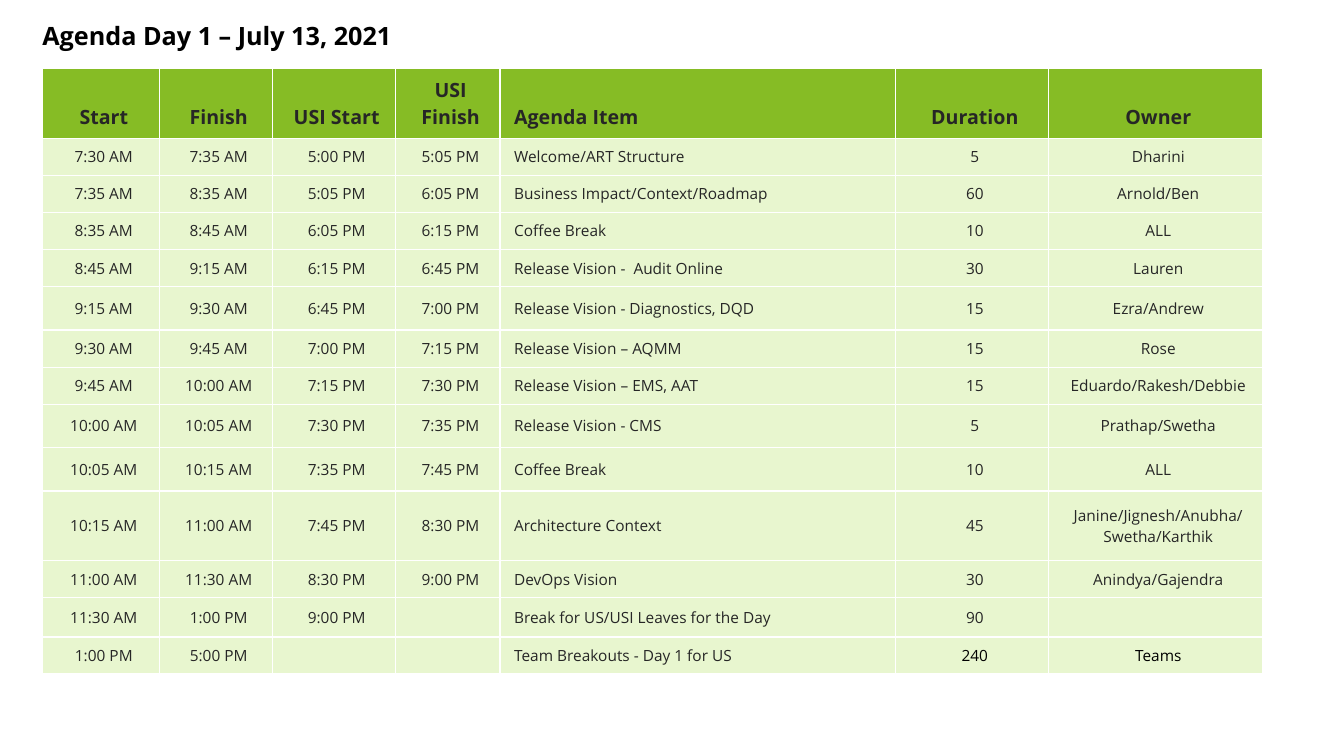
from lxml.etree import SubElement
from pptx import Presentation
from pptx.dml.color import RGBColor
from pptx.enum.text import MSO_ANCHOR, PP_ALIGN
from pptx.oxml.ns import qn
from pptx.util import Inches, Pt

# Content
TITLE = "Agenda Day 1 – July 13, 2021"
HEADINGS = ("Start", "Finish", "USI Start", "USI Finish", "Agenda Item", "Duration", "Owner")
SESSIONS = [
    ("7:30 AM", "7:35 AM", "5:00 PM", "5:05 PM", "Welcome/ART Structure", "5", "Dharini"),
    ("7:35 AM", "8:35 AM", "5:05 PM", "6:05 PM", "Business Impact/Context/Roadmap", "60", "Arnold/Ben"),
    ("8:35 AM", "8:45 AM", "6:05 PM", "6:15 PM", "Coffee Break", "10", "ALL"),
    ("8:45 AM", "9:15 AM", "6:15 PM", "6:45 PM", "Release Vision -  Audit Online", "30", "Lauren"),
    ("9:15 AM", "9:30 AM", "6:45 PM", "7:00 PM", "Release Vision - Diagnostics, DQD", "15", "Ezra/Andrew"),
    ("9:30 AM", "9:45 AM", "7:00 PM", "7:15 PM", "Release Vision – AQMM", "15", "Rose"),
    ("9:45 AM", "10:00 AM", "7:15 PM", "7:30 PM", "Release Vision – EMS, AAT", "15", "Eduardo/Rakesh/Debbie"),
    ("10:00 AM", "10:05 AM", "7:30 PM", "7:35 PM", "Release Vision - CMS", "5", "Prathap/Swetha"),
    ("10:05 AM", "10:15 AM", "7:35 PM", "7:45 PM", "Coffee Break", "10", "ALL"),
    ("10:15 AM", "11:00 AM", "7:45 PM", "8:30 PM", "Architecture Context", "45",
     "Janine/Jignesh/Anubha/\nSwetha/Karthik"),
    ("11:00 AM", "11:30 AM", "8:30 PM", "9:00 PM", "DevOps Vision", "30", "Anindya/Gajendra"),
    ("11:30 AM", "1:00 PM", "9:00 PM", "", "Break for US/USI Leaves for the Day", "90", ""),
    ("1:00 PM", "5:00 PM", "", "", "Team Breakouts - Day 1 for US", "240", "Teams"),
]

# Grid, in inches
LEFT, TABLE_TOP = 0.42, 0.68
COLUMN_WIDTHS = (1.16, 1.12, 1.22, 1.04, 3.92, 1.52, 2.12)
HEADER_HEIGHT, ROW_HEIGHT = 0.61, 0.36
TALL_ROWS = {5: 0.43, 8: 0.43, 9: 0.43, 10: 0.69, 12: 0.39}
ITEM_COLUMN, DURATION_COLUMN = 4, 5

# Style
FONT = "Open Sans"
GREEN = RGBColor(0x86, 0xBC, 0x25)
PALE_GREEN = RGBColor(0xE8, 0xF6, 0xCF)
CHARCOAL = RGBColor(0x26, 0x26, 0x26)
BLACK = RGBColor(0, 0, 0)


def format_paragraph(para, size, color, bold, align):
    para.alignment = align
    for span in para.runs:
        span.font.name = FONT
        span.font.size = Pt(size)
        span.font.bold = bold
        span.font.color.rgb = color
    if not para.runs:  # keeps an empty cell from growing its row
        SubElement(para._p, qn("a:endParaRPr"), sz=str(size * 100))


def fill_cell(cell, text, row, column):
    header = row == 0
    cell.fill.solid()
    cell.fill.fore_color.rgb = GREEN if header else PALE_GREEN
    cell.vertical_anchor = MSO_ANCHOR.BOTTOM if header else MSO_ANCHOR.MIDDLE
    cell.margin_left = Inches(0.14)
    cell.margin_right = cell.margin_top = cell.margin_bottom = Inches(0.08)
    cell.text_frame.text = text
    closing_cell = row == len(SESSIONS) and column >= DURATION_COLUMN
    align = PP_ALIGN.LEFT if column == ITEM_COLUMN else PP_ALIGN.CENTER
    for para in cell.text_frame.paragraphs:
        format_paragraph(para, 14 if header else 11, BLACK if closing_cell else CHARCOAL, header, align)


def main():
    deck = Presentation()
    deck.slide_width, deck.slide_height = Inches(13.33), Inches(7.5)
    page = deck.slides.add_slide(deck.slide_layouts[5])

    # Title
    title = page.shapes.title
    title.left, title.top = Inches(LEFT), Inches(0.19)
    title.width, title.height = Inches(12.31), Inches(0.37)
    frame = title.text_frame
    frame.margin_left = frame.margin_right = frame.margin_top = frame.margin_bottom = 0
    frame.vertical_anchor = MSO_ANCHOR.MIDDLE
    frame.word_wrap = True
    frame.text = TITLE
    frame.paragraphs[0].line_spacing = 0.9
    format_paragraph(frame.paragraphs[0], 18, BLACK, True, PP_ALIGN.LEFT)

    # Agenda table: the default style supplies the white rules
    rows = [HEADINGS] + SESSIONS
    heights = [HEADER_HEIGHT] + [TALL_ROWS.get(row, ROW_HEIGHT) for row in range(1, len(rows))]
    agenda = page.shapes.add_table(
        len(rows), len(HEADINGS), Inches(LEFT), Inches(TABLE_TOP),
        Inches(sum(COLUMN_WIDTHS)), Inches(sum(heights))).table
    agenda.horz_banding = False
    for column, width in zip(agenda.columns, COLUMN_WIDTHS):
        column.width = Inches(width)
    for row, (texts, height) in enumerate(zip(rows, heights)):
        agenda.rows[row].height = Inches(height)
        for column, text in enumerate(texts):
            fill_cell(agenda.cell(row, column), text, row, column)

    deck.save("out.pptx")


if __name__ == "__main__":
    main()
